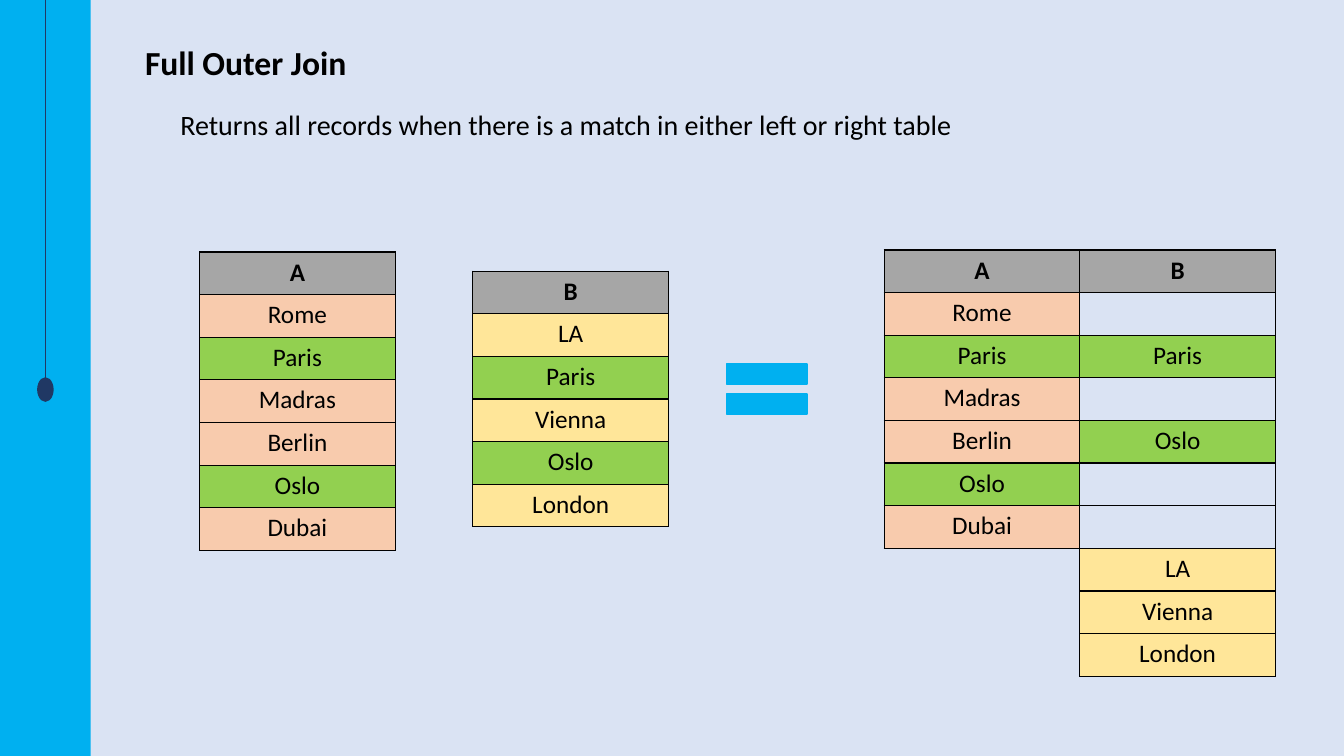
from lxml import etree
from pptx import Presentation
from pptx.dml.color import RGBColor
from pptx.enum.shapes import MSO_CONNECTOR, MSO_SHAPE
from pptx.enum.text import PP_ALIGN
from pptx.oxml import parse_xml
from pptx.oxml.ns import qn
from pptx.util import Inches, Pt

RECT, OVAL, EQUAL = MSO_SHAPE.RECTANGLE, MSO_SHAPE.OVAL, MSO_SHAPE.MATH_EQUAL
STRAIGHT, LEFT, CENTER = MSO_CONNECTOR.STRAIGHT, PP_ALIGN.LEFT, PP_ALIGN.CENTER

# Content
TITLE = "Full Outer Join"
SUBTITLE = "Returns all records when there is a match in either left or right table"
A = ["Rome", "Paris", "Madras", "Berlin", "Oslo", "Dubai"]
B = ["LA", "Paris", "Vienna", "Oslo", "London"]
B_MATCHES = ["", "Paris", "", "Oslo", ""]
B_REST = [city for city in B if city not in A]

# Colours and measures
BACK, BLUE, NAVY, BLACK = "DAE3F3", "00B0F0", "203864", "000000"
GREY, GREEN, PEACH, YELLOW = "A6A6A6", "92D050", "F8CBAD", "FFE699"
FONT = "Calibri"
W, H = 13.33, 7.5
COL, ROW = 1.94, 2.96 / 7
BAR = 0.9
DOT_W, DOT_H = 0.15, 0.23
RESULT_X, RESULT_Y = 8.77, 2.48

# First entry of each table is its head cell
TABLES = [
    (1.98, 2.5, ["A"] + A, PEACH),
    (4.69, 2.69, ["B"] + B, YELLOW),
    (RESULT_X, RESULT_Y, ["A"] + A, PEACH),
    (RESULT_X + COL, RESULT_Y, ["B"] + B_MATCHES, YELLOW),
    (RESULT_X + COL, RESULT_Y + 6 * ROW, [""] + B_REST, YELLOW),
]


def rgb(color):
    return RGBColor.from_string(color)


def write(tf, text, size=18, bold=False, align=LEFT):
    p = tf.paragraphs[0]
    p.alignment = align
    r = p.add_run()
    r.text = text
    r.font.name, r.font.size, r.font.bold = FONT, Pt(size), bold
    r.font.color.rgb = rgb(BLACK)


def add_text(s, x, y, w, h, text, **fmt):
    tf = s.shapes.add_textbox(*map(Inches, (x, y, w, h))).text_frame
    tf.word_wrap = True
    write(tf, text, **fmt)


def add_shape(s, kind, x, y, w, h, color, outlined=True):
    sp = s.shapes.add_shape(kind, *map(Inches, (x, y, w, h)))
    sp.shadow.inherit = False
    sp.fill.solid()
    sp.fill.fore_color.rgb = rgb(color)
    if outlined:
        sp.line.color.rgb = rgb(color)
        sp.line.width = Pt(1)
    else:
        sp.line.fill.background()
    return sp


def add_borders(cell):
    tc_pr = cell._tc.get_or_add_tcPr()
    for i, side in enumerate(("lnL", "lnR", "lnT", "lnB")):
        tc_pr.insert(i, parse_xml(
            f'<a:{side} xmlns:a="http://schemas.openxmlformats.org/drawingml/2006/main" '
            f'w="12700"><a:solidFill><a:srgbClr val="{BLACK}"/></a:solidFill></a:{side}>'))


def add_column(s, x, y, values, color):
    n = len(values)
    table = s.shapes.add_table(n, 1, *map(Inches, (x, y, COL, n * ROW))).table
    table.first_row = table.horz_banding = False
    for i, value in enumerate(values):
        cell = table.cell(i, 0)
        if value:
            matched = value in A and value in B
            cell.fill.solid()
            cell.fill.fore_color.rgb = rgb(GREY if i == 0 else GREEN if matched else color)
            write(cell.text_frame, value, bold=i == 0, align=CENTER)
        else:
            cell.fill.background()
        add_borders(cell)


prs = Presentation()
prs.slide_width, prs.slide_height = Inches(W), Inches(H)
s = prs.slides.add_slide(prs.slide_layouts[6])
s.background.fill.solid()
s.background.fill.fore_color.rgb = rgb(BACK)

# Side bar with hanging dot
add_shape(s, RECT, 0, 0, BAR, H, BLUE, outlined=False)
cord = s.shapes.add_connector(STRAIGHT, Inches(BAR / 2), 0, Inches(BAR / 2), Inches(H / 2))
cord.line.color.rgb = rgb(NAVY)
cord.line.width = Pt(0.5)
etree.SubElement(cord._element.spPr, qn("a:effectLst"))
dot = add_shape(s, OVAL, (BAR - DOT_W) / 2, H / 2, DOT_W, DOT_H, NAVY)
cord.end_connect(dot, 0)

# Headings
add_text(s, 1.34, 0.37, 2.97, 0.5, TITLE, size=24, bold=True)
add_text(s, 1.69, 1.02, 10.24, 0.44, SUBTITLE, size=20)

# Source tables, equal sign and joined result
for x, y, values, color in TABLES:
    add_column(s, x, y, values, color)
add_shape(s, EQUAL, 7.06, 3.44, 1.09, 0.84, BLUE)

prs.save("out.pptx")
